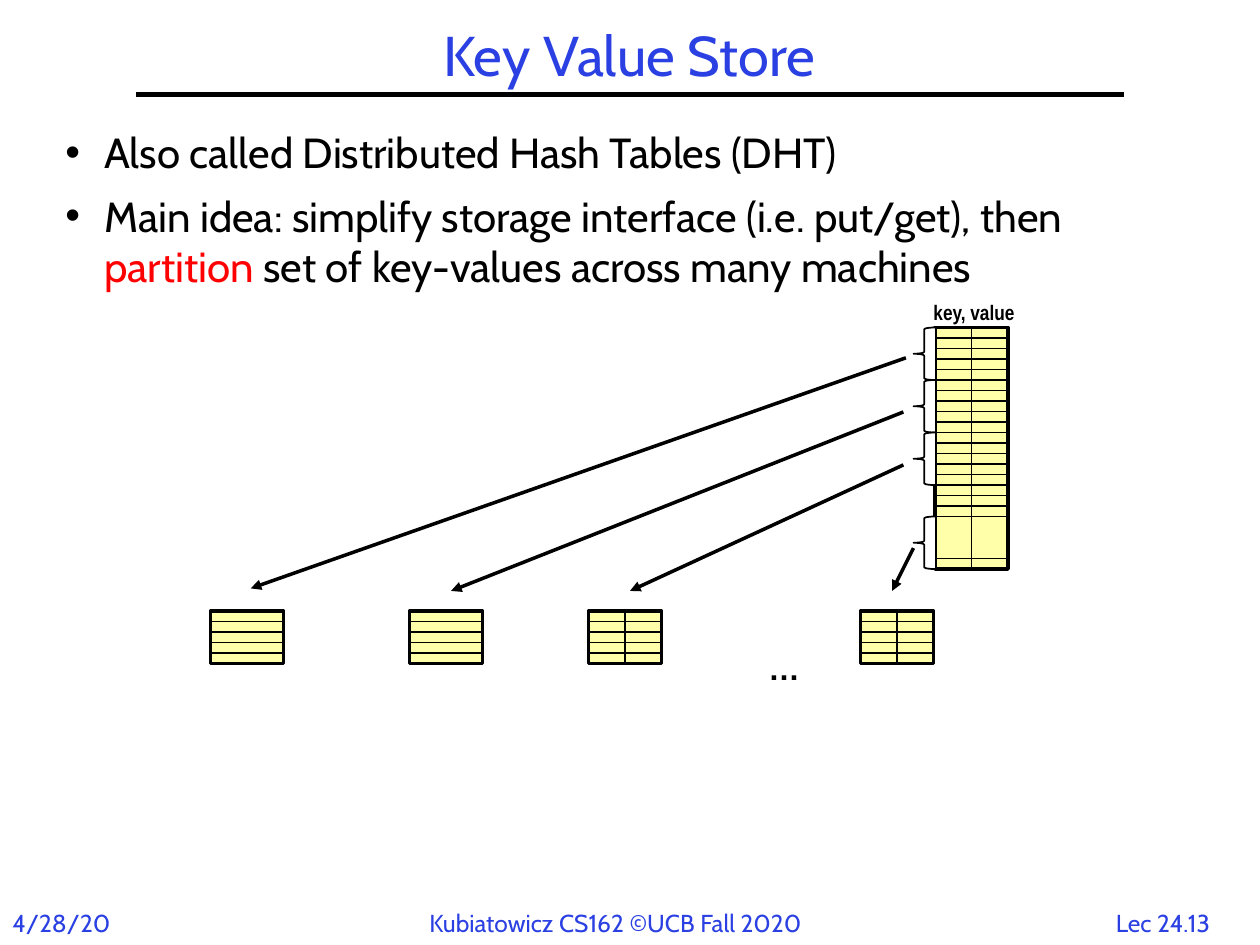
import pptx
import pptx.util
import pptx.dml.color
import pptx.enum.shapes
import pptx.enum.text
import pptx.oxml

Inches = pptx.util.Inches
Pt = pptx.util.Pt
Kind = pptx.enum.shapes.MSO_SHAPE
Align = pptx.enum.text.PP_ALIGN
NS = 'xmlns:a="http://schemas.openxmlformats.org/drawingml/2006/main"'
hues = {"ink": "000000", "blue": "2A40E2", "red": "FF0000", "cell": "FFFFAA", "white": "FFFFFF"}
tint = {name: pptx.dml.color.RGBColor.from_string(code) for name, code in hues.items()}

deck = pptx.Presentation()
deck.slide_width = Inches(10)
deck.slide_height = Inches(7.5)
slide = deck.slides.add_slide(deck.slide_layouts[6])
shapes = slide.shapes


def add_line(x1, y1, x2, y2, width, arrow=False):
    line = shapes.add_connector(pptx.enum.shapes.MSO_CONNECTOR.STRAIGHT,
                                Inches(x1), Inches(y1), Inches(x2), Inches(y2))
    line.line.color.rgb = tint["ink"]
    line.line.width = Pt(width)
    if arrow:
        line.line._get_or_add_ln().append(pptx.oxml.parse_xml(f'<a:tailEnd {NS} type="triangle"/>'))
    line._element.spPr.append(pptx.oxml.parse_xml(f"<a:effectLst {NS}/>"))
    return line


def add_run(para, text, size, face, hue, bold=False):
    run = para.add_run()
    run.text = text
    run.font.size = Pt(size)
    run.font.name = face
    run.font.bold = bold
    run.font.color.rgb = tint[hue]


add_line(1.08, 0.75, 8.92, 0.75, 3)

title = shapes.add_textbox(Inches(1.08), Inches(0.17), Inches(7.83), Inches(0.58)).text_frame
title.word_wrap = True
title.vertical_anchor = pptx.enum.text.MSO_ANCHOR.MIDDLE
para = title.paragraphs[0]
para.alignment = Align.CENTER
para.line_spacing = 0.9
add_run(para, "Key Value Store", 32, "Cabin", "blue")

points = [
    [("Also called Distributed Hash Tables (DHT)", "ink")],
    [("Main idea: simplify storage interface (i.e. put/get), then ", "ink"),
     ("partition ", "red"),
     ("set of key-values across many machines", "ink")],
]
body = shapes.add_textbox(Inches(0.42), Inches(1), Inches(9.17), Inches(1.67)).text_frame
body.word_wrap = True
for i, parts in enumerate(points):
    para = body.paragraphs[0] if i == 0 else body.add_paragraph()
    props = para._p.get_or_add_pPr()
    props.set("marL", str(Inches(0.31)))
    props.set("indent", str(-Inches(0.31)))
    props.append(pptx.oxml.parse_xml(f'<a:buFont {NS} typeface="Arial"/>'))
    props.append(pptx.oxml.parse_xml(f'<a:buChar {NS} char="•"/>'))
    if i == 0:
        para.line_spacing = 0.9
    else:
        para.space_before = Pt(7.2)
    for text, hue in parts:
        add_run(para, text, 24, "Cabin", hue)

wide = 0.58
step = 1 / 12
tables = [
    (7.42, 2.6, 23, [*range(1, 19), 22], True),
    (6.83, 4.85, 5, range(1, 5), True),
    (1.67, 4.85, 5, range(1, 5), False),
    (3.25, 4.85, 5, range(1, 5), False),
    (4.67, 4.85, 5, range(1, 5), True),
]
for left, top, count, rules, split in tables:
    high = count * step
    box = shapes.add_shape(Kind.RECTANGLE, Inches(left), Inches(top), Inches(wide), Inches(high))
    box.shadow.inherit = False
    box.fill.solid()
    box.fill.fore_color.rgb = tint["cell"]
    box.line.color.rgb = tint["ink"]
    box.line.width = Pt(2)
    if split:
        mid = left + wide / 2
        line = add_line(mid, top, mid, top + high, 1)
        line.begin_connect(box, 0)
        line.end_connect(box, 2)
    for row in rules:
        y = top + row * step
        add_line(left, y, left + wide, y, 1)

for row in (0, 5, 10, 18):
    brace = shapes.add_shape(Kind.LEFT_BRACE, Inches(7.25), Inches(2.6 + row * step),
                             Inches(0.17), Inches(5 * step))
    brace.shadow.inherit = False
    brace.fill.solid()
    brace.fill.fore_color.rgb = tint["white"]
    brace.line.color.rgb = tint["ink"]
    brace.line.width = Pt(1)

for ends in [(7.19, 2.84, 1.99, 4.67), (7.17, 3.27, 3.58, 4.69),
             (7.17, 3.69, 5, 4.69), (7.25, 4.35, 7.08, 4.69)]:
    add_line(*ends, 2, arrow=True)

labels = [
    (7.31, 2.33, 0.85, 0.3, "key, value", 12, "Arial Narrow", "ink", True, Align.LEFT),
    (6, 5.1, 0.54, 0.5, "…", 18, "Arial", "ink", True, Align.LEFT),
    (0, 7.16, 1.2, 0.34, "4/28/20", 14, "Cabin", "blue", False, Align.LEFT),
    (3.31, 7.16, 3.38, 0.34, "Kubiatowicz CS162 ©UCB Fall 2020", 14, "Cabin", "blue", False, Align.LEFT),
    (8.69, 7.16, 1.08, 0.33, "Lec 24.13", 14, "Cabin", "blue", False, Align.CENTER),
]
for left, top, width, high, text, size, face, hue, bold, align in labels:
    frame = shapes.add_textbox(Inches(left), Inches(top), Inches(width), Inches(high)).text_frame
    frame.word_wrap = False
    para = frame.paragraphs[0]
    para.alignment = align
    add_run(para, text, size, face, hue, bold)

deck.save("out.pptx")
